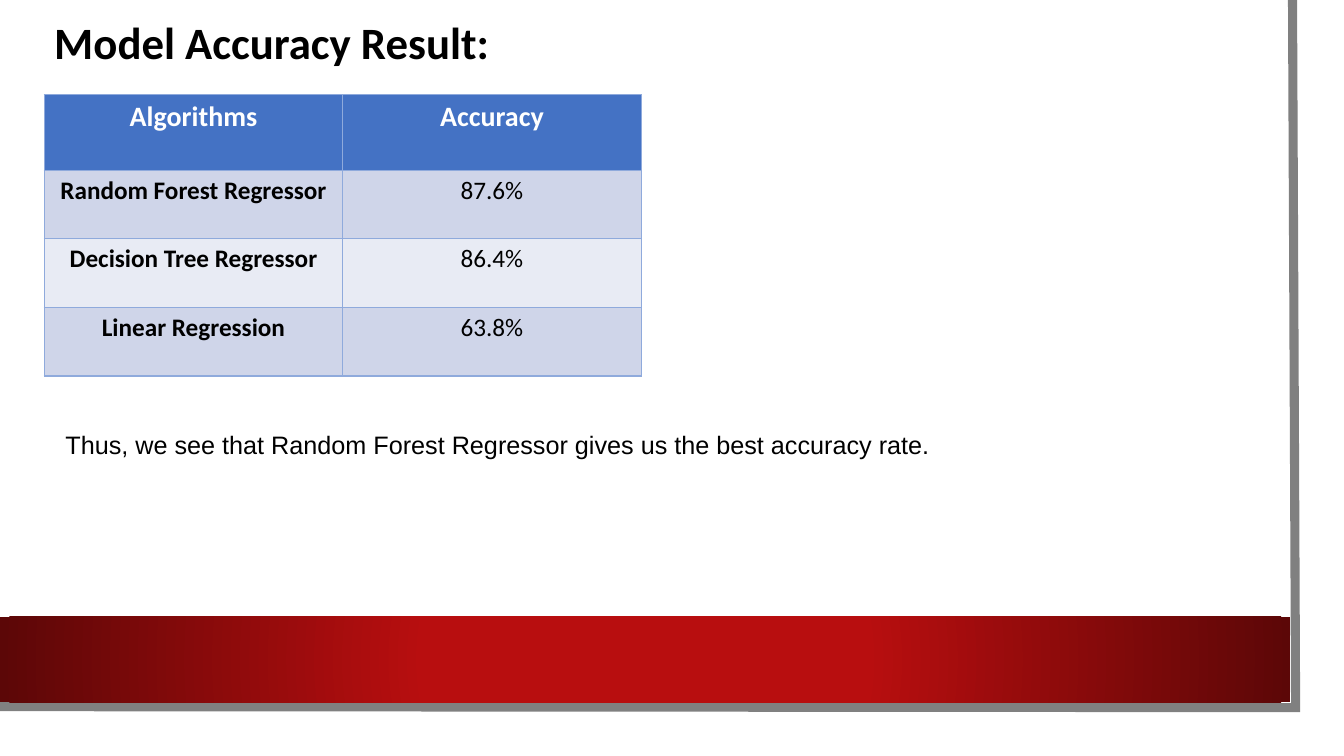
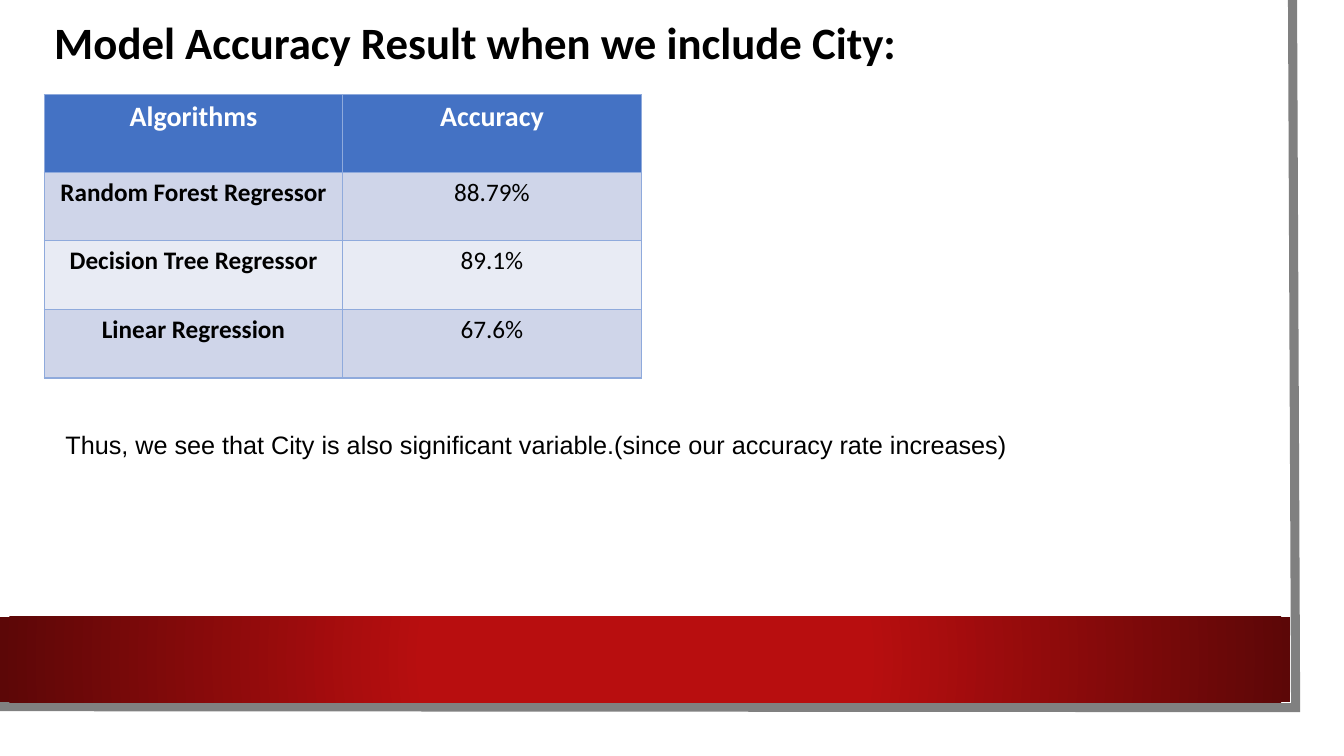
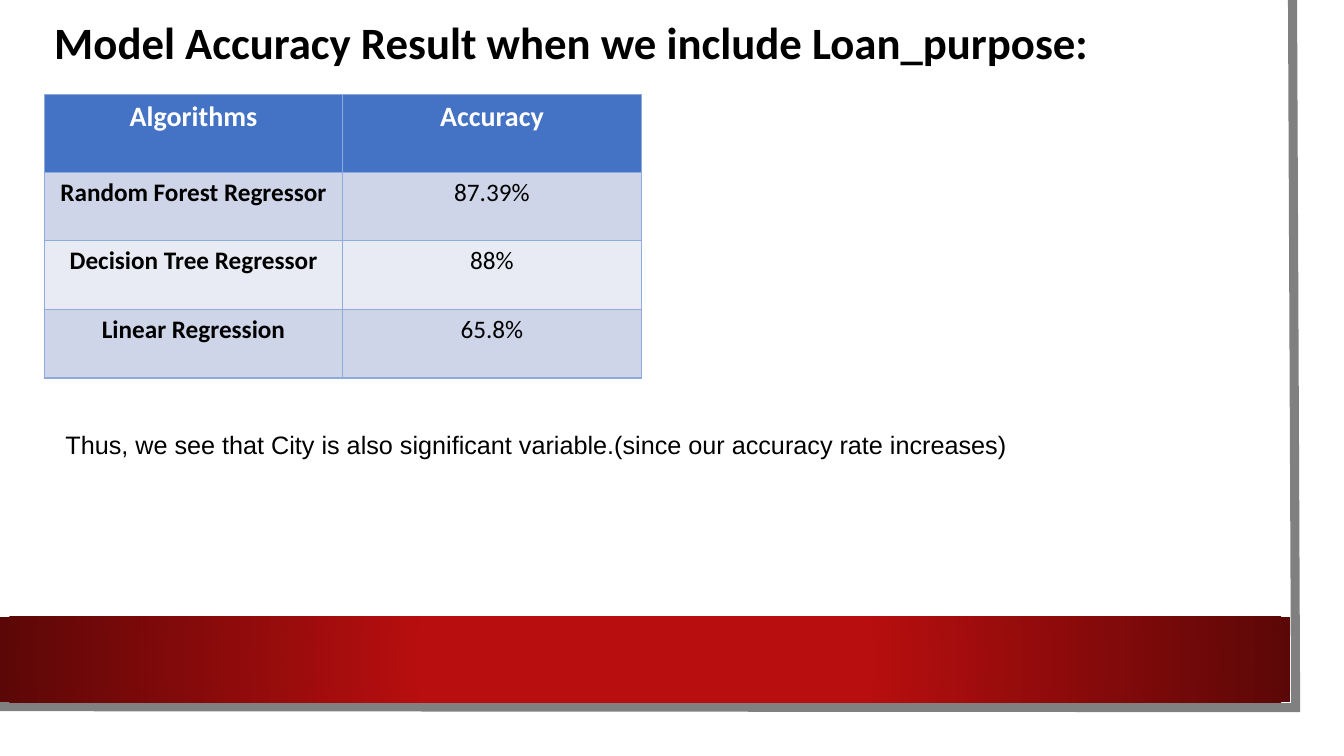
import pptx
import pptx.dml.color
import pptx.enum.shapes
import pptx.enum.text
import pptx.oxml
import pptx.oxml.ns
import pptx.util

RGBColor = pptx.dml.color.RGBColor
PP_ALIGN = pptx.enum.text.PP_ALIGN
ANCHOR = pptx.enum.text.MSO_ANCHOR
RECTANGLE = pptx.enum.shapes.MSO_SHAPE.RECTANGLE

# Shared look
SLIDE_WIDTH = pptx.util.Inches(13.33)
SLIDE_HEIGHT = pptx.util.Inches(7.5)
BLACK = RGBColor(0x00, 0x00, 0x00)
WHITE = RGBColor(0xFF, 0xFF, 0xFF)
FRAME_GRAY = RGBColor(0x80, 0x80, 0x80)
BAND_RED = RGBColor(0xB8, 0x0E, 0x0F)
BAND_DARK = RGBColor(0x5C, 0x07, 0x07)
HEADER_BLUE = RGBColor(0x44, 0x72, 0xC4)
BORDER_BLUE = RGBColor(0x8F, 0xAA, 0xDC)
ROW_FILLS = (RGBColor(0xCF, 0xD5, 0xE9), RGBColor(0xE8, 0xEB, 0xF4))
HEADING_FONT = "Calibri"
NOTE_FONT = "Arial"
LEFT_MARGIN = 3.3
ROW_HEIGHT = 9.07

# Content
COLUMN_TITLES = ("Algorithms", "Accuracy")
ALGORITHMS = ("Random Forest Regressor", "Decision Tree Regressor", "Linear Regression")
CITY_NOTE = ("Thus, we see that City is also significant variable."
             "(since our accuracy rate increases)")
RESULTS = (
    dict(title="Model Accuracy Result:",
         accuracies=("87.6%", "86.4%", "63.8%"), header_height=10,
         note="Thus, we see that Random Forest Regressor gives us the best accuracy rate.",
         note_width=67),
    dict(title="Model Accuracy Result when we include City:",
         accuracies=("88.79%", "89.1%", "67.6%"), header_height=10.27,
         note=CITY_NOTE, note_width=72.77),
    dict(title="Model Accuracy Result when we include Loan_purpose:",
         accuracies=("87.39%", "88%", "65.8%"), header_height=10.27,
         note=CITY_NOTE, note_width=72.77),
)


def across(percent):
    """Length as a percentage of the slide width."""
    return pptx.util.Emu(round(SLIDE_WIDTH * percent / 100))


def down(percent):
    """Length as a percentage of the slide height."""
    return pptx.util.Emu(round(SLIDE_HEIGHT * percent / 100))


def area(left, top, width, height):
    return across(left), down(top), across(width), down(height)


def write(frame, text, *, size, font=HEADING_FONT, color=BLACK, bold=False,
          align=PP_ALIGN.LEFT, spacing=None):
    para = frame.paragraphs[0]
    para.alignment = align
    para.line_spacing = spacing
    span = para.add_run()
    span.text = text
    span.font.size = pptx.util.Pt(size)
    span.font.name = font
    span.font.color.rgb = color
    span.font.bold = bold


def add_rectangle(page, *place):
    box = page.shapes.add_shape(RECTANGLE, *area(*place))
    box.shadow.inherit = False
    box.line.fill.background()
    return box


def fill_radial(box, inner, outer):
    """Gradient spreading from the centre of the box to its edges."""
    box.fill.background()
    properties = box.fill._xPr
    gradient = pptx.oxml.parse_xml(
        f'<a:gradFill {pptx.oxml.ns.nsdecls("a")} rotWithShape="1"><a:gsLst>'
        f'<a:gs pos="34000"><a:srgbClr val="{inner}"/></a:gs>'
        f'<a:gs pos="100000"><a:srgbClr val="{outer}"/></a:gs></a:gsLst>'
        '<a:path path="circle">'
        '<a:fillToRect l="50000" t="50000" r="50000" b="50000"/>'
        '</a:path></a:gradFill>')
    empty_fill = properties.find(pptx.oxml.ns.qn("a:noFill"))
    properties.replace(empty_fill, gradient)


def add_backdrop(page):
    # White sheet
    sheet = add_rectangle(page, 0, 0, 98.27, 96.93)
    sheet.fill.solid()
    sheet.fill.fore_color.rgb = WHITE

    # Grey edge along the right and bottom
    builder = page.shapes.build_freeform(across(96.17), 0)
    builder.add_line_segments([(across(96.4), down(93.6)),
                               (across(-0.23), down(93.47))], close=False)
    edge = builder.convert_to_shape()
    edge.shadow.inherit = False
    edge.fill.background()
    edge.line.color.rgb = FRAME_GRAY
    edge.line.width = pptx.util.Pt(6.5)
    edge.line._ln.append(pptx.oxml.parse_xml(
        f'<a:miter {pptx.oxml.ns.nsdecls("a")} lim="800000"/>'))

    # Red band
    fill_radial(add_rectangle(page, 0, 81.6, 96.02, 11.33), BAND_RED, BAND_DARK)


def add_title(page, text):
    frame = page.shapes.add_textbox(*area(LEFT_MARGIN, 0, 93.32, 9.87)).text_frame
    frame.word_wrap = True
    frame.vertical_anchor = ANCHOR.BOTTOM
    write(frame, text, size=32, bold=True, spacing=0.9)


def add_note(page, text, width):
    frame = page.shapes.add_textbox(*area(4.13, 56.13, width, 5.33)).text_frame
    frame.word_wrap = False
    frame.auto_size = pptx.enum.text.MSO_AUTO_SIZE.SHAPE_TO_FIT_TEXT
    write(frame, text, size=18, font=NOTE_FONT)


def set_borders(cell):
    properties = cell._tc.get_or_add_tcPr()
    for index, side in enumerate("LRTB"):
        properties.insert(index, pptx.oxml.parse_xml(
            f'<a:ln{side} {pptx.oxml.ns.nsdecls("a")} w="{pptx.util.Pt(0.96)}">'
            f'<a:solidFill><a:srgbClr val="{BORDER_BLUE}"/></a:solidFill>'
            f'</a:ln{side}>'))


def add_accuracy_table(page, accuracies, header_height):
    rows = [COLUMN_TITLES, *zip(ALGORITHMS, accuracies)]
    height = header_height + ROW_HEIGHT * len(accuracies)
    table = page.shapes.add_table(
        len(rows), len(COLUMN_TITLES),
        *area(LEFT_MARGIN, 12.53, 44.41, height)).table
    table.horz_banding = False
    for r, texts in enumerate(rows):
        header = r == 0
        table.rows[r].height = down(header_height if header else ROW_HEIGHT)
        for c, text in enumerate(texts):
            cell = table.cell(r, c)
            cell.fill.solid()
            cell.fill.fore_color.rgb = HEADER_BLUE if header else ROW_FILLS[(r - 1) % 2]
            set_borders(cell)
            write(cell.text_frame, text, size=20 if header else 18,
                  color=WHITE if header else BLACK,
                  bold=header or c == 0, align=PP_ALIGN.CENTER)


def main():
    deck = pptx.Presentation()
    deck.slide_width = SLIDE_WIDTH
    deck.slide_height = SLIDE_HEIGHT
    for result in RESULTS:
        page = deck.slides.add_slide(deck.slide_layouts[6])
        add_backdrop(page)
        add_title(page, result["title"])
        add_accuracy_table(page, result["accuracies"], result["header_height"])
        add_note(page, result["note"], result["note_width"])
    deck.save("out.pptx")


if __name__ == "__main__":
    main()
